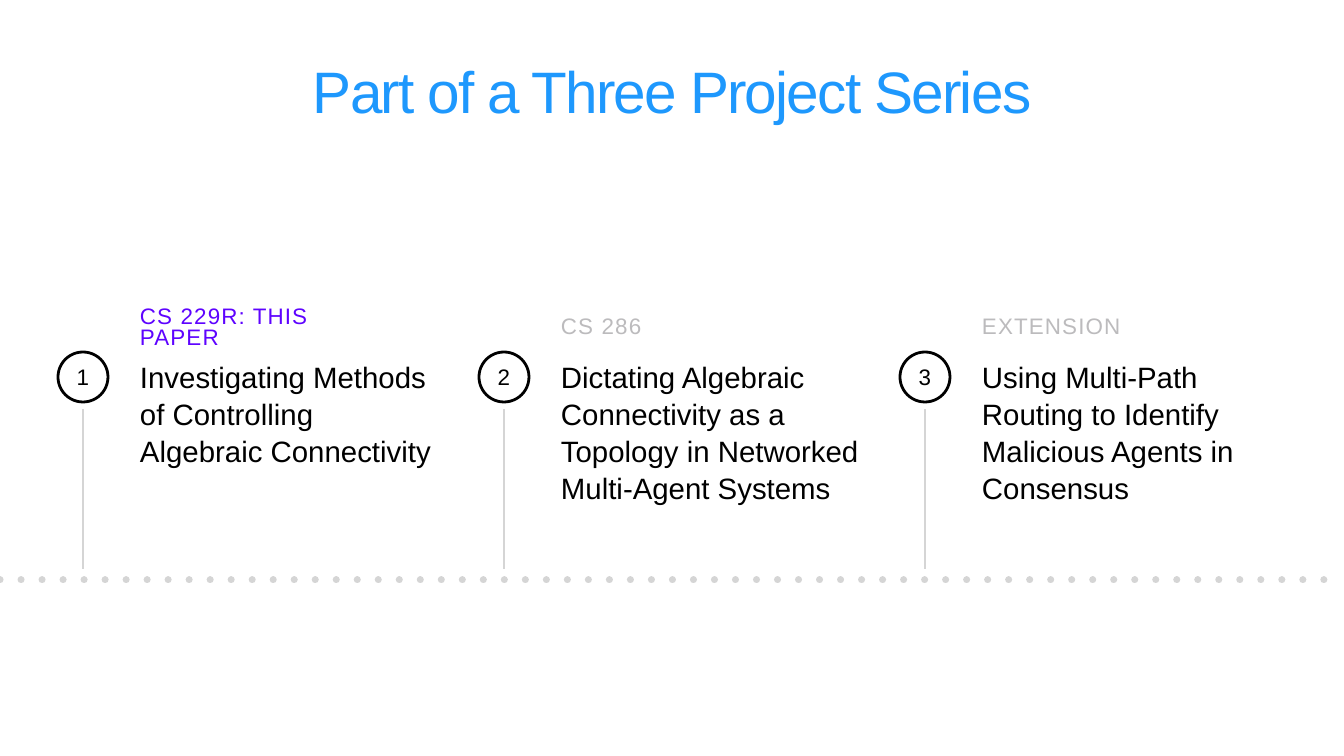
from lxml import etree
from pptx import Presentation
from pptx.dml.color import RGBColor
from pptx.enum.shapes import MSO_CONNECTOR, MSO_SHAPE
from pptx.enum.text import MSO_ANCHOR, MSO_AUTO_SIZE, PP_ALIGN
from pptx.oxml.ns import qn
from pptx.util import Pt

STRAIGHT, OVAL = MSO_CONNECTOR.STRAIGHT, MSO_SHAPE.OVAL
MIDDLE, BOTTOM, TOP = MSO_ANCHOR.MIDDLE, MSO_ANCHOR.BOTTOM, MSO_ANCHOR.TOP
LEFT, CENTER = PP_ALIGN.LEFT, PP_ALIGN.CENTER

TITLE = "Part of a Three Project Series"
# caption, caption colour, caption width, project, project height
STEPS = [
    ("CS 229R: THIS PAPER", "violet", 258,
     "Investigating Methods of Controlling Algebraic Connectivity", 159),
    ("CS 286", "gray", 91,
     "Dictating Algebraic Connectivity as a Topology in Networked Multi-Agent Systems", 198),
    ("EXTENSION", "gray", 148,
     "Using Multi-Path Routing to Identify Malicious Agents in Consensus", 159),
]
COLORS = {"blue": "1E98FD", "violet": "5E03FF", "gray": "BCBBBD",
          "rule": "D5D5D5", "black": "000000"}
FONT = "Arial"
WIDTH, HEIGHT = 1344, 756
START, PITCH = 58, 421
DISC, DISC_TOP = 50, 352
STEM_TOP, STEM_END = 409, 569
INDENT = 79
AXIS = 580


def px(n):
    return round(n * 914400 / 50.4)


def box(*sizes):
    return [px(n) for n in sizes]


def color(name):
    return RGBColor.from_string(COLORS[name])


def write(shape, text, size, ink, align=LEFT, anchor=TOP, lead=None, track=0):
    """Fill a shape with one styled paragraph; track is letter spacing in points."""
    frame = shape.text_frame
    frame.text = text
    frame.word_wrap = True
    frame.auto_size = MSO_AUTO_SIZE.NONE
    frame.vertical_anchor = anchor
    frame.margin_left = frame.margin_right = px(3)
    frame.margin_top = frame.margin_bottom = px(3)
    para = frame.paragraphs[0]
    para.alignment = align
    if lead:
        para.line_spacing = lead
    run = para.runs[0]
    run.font.name, run.font.size = FONT, Pt(size)
    run.font.color.rgb = color(ink)
    if track:
        run._r.get_or_add_rPr().set("spc", str(round(track * 100)))


def draw_line(shapes, ends, weight):
    line = shapes.add_connector(STRAIGHT, *box(*ends))
    line.line.color.rgb = color("rule")
    line.line.width = Pt(weight)
    etree.SubElement(line._element.spPr, qn("a:effectLst"))
    return line


def make_dotted(line):
    pen = line.line._get_or_add_ln()
    pen.set("cap", "rnd")
    dash = etree.SubElement(pen, qn("a:custDash"))
    etree.SubElement(dash, qn("a:ds"), d="100000", sp="200000")


def add_step(shapes, index, step):
    caption, ink, wide, project, tall = step
    x = START + index * PITCH
    text_x = x + INDENT
    disc = shapes.add_shape(OVAL, *box(x, DISC_TOP, DISC, DISC))
    disc.shadow.inherit = False
    disc.fill.background()
    disc.line.color.rgb = color("black")
    disc.line.width = Pt(4)
    write(disc, str(index + 1), 32, "black", CENTER, MIDDLE)
    body = shapes.add_textbox(*box(text_x, 354, 308, tall))
    write(body, project, 42, "black", lead=1.05)
    mid = x + DISC / 2
    draw_line(shapes, (mid, STEM_END, mid, STEM_TOP), 4)
    label = shapes.add_textbox(*box(text_x, 311, wide, 35))
    write(label, caption, 32, ink, anchor=MIDDLE, lead=0.8, track=1.6)


def main():
    deck = Presentation()
    deck.slide_width, deck.slide_height = box(WIDTH, HEIGHT)
    slide = deck.slides.add_slide(deck.slide_layouts[5])
    title = slide.shapes.title
    title.left, title.top, title.width, title.height = box(70, 45, 1204, 84)
    write(title, TITLE, 83.5, "blue", CENTER, BOTTOM, 0.9, -2.5)
    make_dotted(draw_line(slide.shapes, (0, AXIS, WIDTH, AXIS), 10))
    for index, step in enumerate(STEPS):
        add_step(slide.shapes.add_group_shape().shapes, index, step)
    deck.save("out.pptx")


if __name__ == "__main__":
    main()
